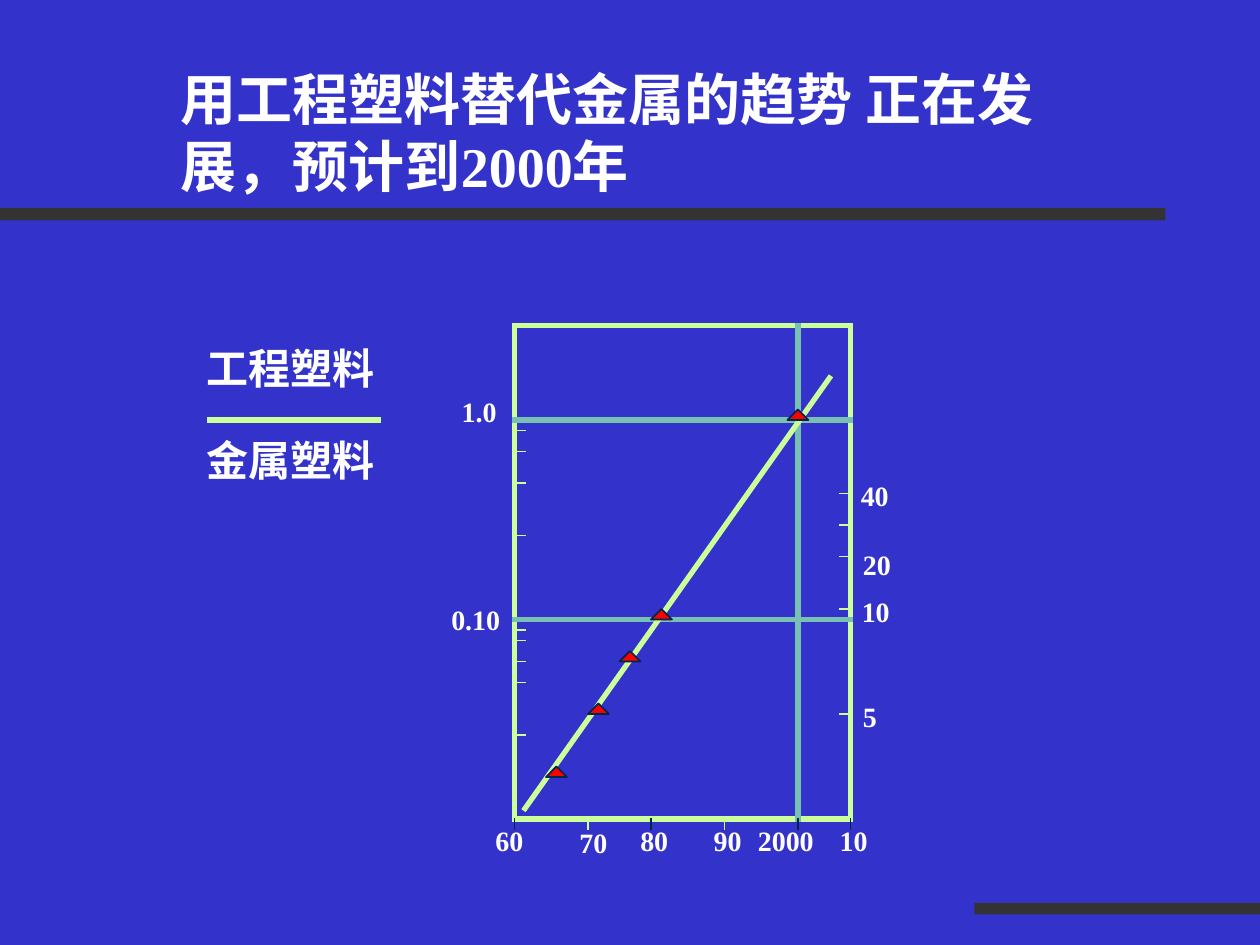
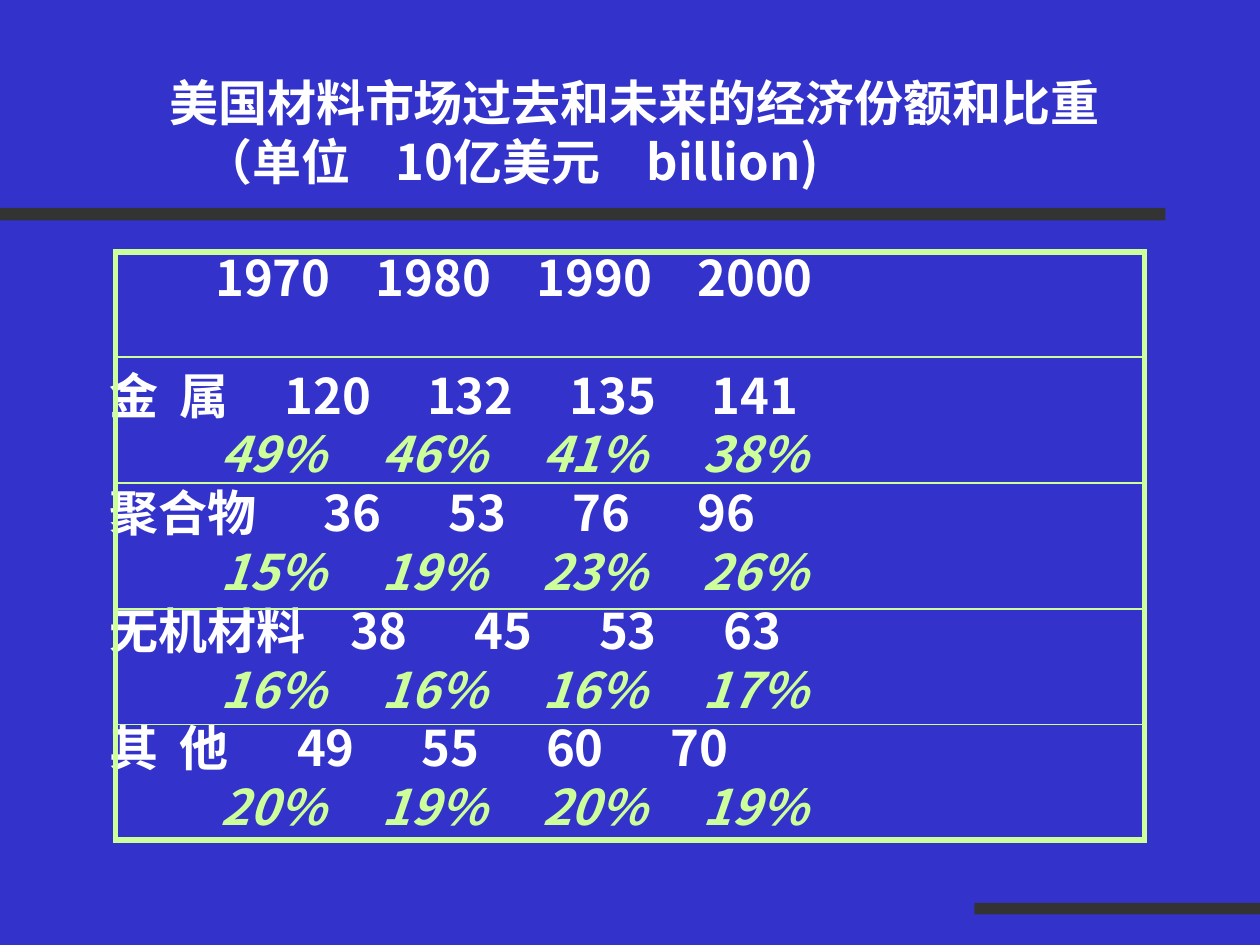
from dataclasses import dataclass

from lxml import etree
from pptx import Presentation
from pptx.dml.color import RGBColor
from pptx.enum import shapes, text
from pptx.oxml import ns
from pptx.util import Cm, Pt


@dataclass(frozen=True)
class Theme:
    blue: str = "3333CC"
    band: str = "333333"
    white: str = "FFFFFF"
    lime: str = "CCFF99"
    teal: str = "78C0B2"
    navy: str = "00264C"
    red: str = "FF0000"
    serif: str = "Times New Roman"
    sans: str = "Noto Sans CJK SC"
    title: int = 32
    body: int = 28
    legend: int = 24
    label: int = 16
    thick: float = 3
    thin: float = 1
    hair: float = 0.75
    leading: float = 1.2


THEME = Theme()

# Content: places are (left, top, width, height) in grid steps of 1/12 inch
BANDS = [(0, 19.8, 111, 1.2), (92.8, 86, 27.2, 1.1)]

TREND_TITLE = "用工程塑料替代金属的趋势 正在发展，预计到2000年"
RATIO = ["工程塑料", "金属塑料"]
FRAME = (49, 31, 81, 78)  # left, top, right, bottom
LEVELS = [40, 59]
YEAR_2000 = 76
TREND = (50, 77, 79, 36)
LEFT_TICKS = [41, 43, 46, 51, 60, 61, 63, 65, 70]
RIGHT_TICKS = [47, 50, 53, 58, 68]
BOTTOM_TICKS = {49: THEME.navy, 56: THEME.lime, 62: THEME.navy,
                69: THEME.lime, 76: THEME.navy, 81: THEME.navy}
DOTS = [(16, 47), (81, 54)]
MARKERS = [(75, 39), (62, 58), (59, 62), (56, 67), (52, 73)]
AXIS_LABELS = [
    ("1.0", 42.8, 37), ("0.10", 41.8, 56.8),
    ("40", 80.8, 45), ("20", 81, 51.6), ("10", 80.9, 56), ("5", 81, 66),
    ("60", 46, 77.8), ("70", 54, 78), ("80", 59.8, 77.8),
    ("90", 66.8, 77.8), ("2000", 71, 77.8), ("10", 78.8, 77.8),
]

MARKET_TITLE = "美国材料市场过去和未来的经济份额和比重\v\t（单位\t10亿美元\tbillion)"
MARKET_TITLE_STOPS = [0.69, 4.56, 9.62]
YEARS = ["1970", "1980", "1990", "2000"]
# label, amounts, shares, first amount stop and step in cm
MATERIALS = [
    ("金\t属", [120, 132, 135, 141], [49, 46, 41, 38], 3.53, 2.87),
    ("聚合物", [36, 53, 76, 96], [15, 19, 23, 26], 4.32, 2.51),
    ("无机材料", [38, 45, 53, 63], [16, 16, 16, 17], 4.85, 2.51),
    ("其\t他", [49, 55, 60, 70], [20, 19, 20, 19], 3.78, 2.51),
]
LABEL_STOP = 1.42
YEAR_STOP, SHARE_STOP, COLUMN_STEP = 2.13, 2.24, 3.24
TABLE = (11, 24, 109, 80)
ROW_RULES = [34, 46, 58, 69]


# Drawing helpers
def grid(steps):
    return Cm(steps * 2.54 / 12)


def rgb(value):
    return RGBColor.from_string(value)


def add_line(page, x1, y1, x2, y2, color=THEME.lime, width=THEME.thick):
    line = page.shapes.add_connector(
        shapes.MSO_CONNECTOR.STRAIGHT, *map(grid, (x1, y1, x2, y2)))
    line.line.color.rgb = rgb(color)
    line.line.width = Pt(width)
    line.get_or_add_ln().set("cap", "sq")
    etree.SubElement(line._element.spPr, ns.qn("a:effectLst"))


def add_frame(page, left, top, right, bottom):
    for y in (top, bottom):
        add_line(page, left, y, right, y)
    for x in (left, right):
        add_line(page, x, top, x, bottom)


def add_filled(page, kind, place, fill, outline=None):
    shape = page.shapes.add_shape(kind, *map(grid, place))
    shape.shadow.inherit = False
    shape.fill.solid()
    shape.fill.fore_color.rgb = rgb(fill)
    if outline:
        shape.line.color.rgb = rgb(outline)
        shape.line.width = Pt(THEME.thin)
    else:
        shape.line.fill.background()


def style(para, font, size, color=THEME.white, italic=False, stops=(), fixed=True):
    """Format one paragraph, with tab stops in cm."""
    para.alignment = text.PP_ALIGN.LEFT
    if fixed:
        para.line_spacing = Pt(size * THEME.leading)
    if stops:
        tabs = etree.SubElement(para._p.get_or_add_pPr(), ns.qn("a:tabLst"))
        for stop in stops:
            etree.SubElement(tabs, ns.qn("a:tab"), pos=str(Cm(stop)), algn="l")
    para.font.name = font
    para.font.size = Pt(size)
    para.font.bold = True
    para.font.italic = italic
    para.font.color.rgb = rgb(color)
    etree.SubElement(para.font._element, ns.qn("a:ea"), typeface=THEME.sans)


def add_box(page, place, inset=0.25):
    box = page.shapes.add_textbox(*map(grid, place))
    box.text_frame.word_wrap = True
    box.text_frame.margin_left = Cm(inset)
    return box.text_frame


def add_page(deck, title, place, font, size, insets=(0.25, 0.25), stops=()):
    """Add a page with its two bands and its title."""
    page = deck.slides.add_slide(deck.slide_layouts[5])
    for band in BANDS:
        add_filled(page, shapes.MSO_SHAPE.RECTANGLE, band, THEME.band)
    head = page.shapes.title
    head.left, head.top, head.width, head.height = map(grid, place)
    frame = head.text_frame
    frame.auto_size = text.MSO_AUTO_SIZE.NONE
    frame.vertical_anchor = text.MSO_ANCHOR.MIDDLE
    frame.margin_left, frame.margin_right = map(Cm, insets)
    frame.text = title
    style(frame.paragraphs[0], font, size, stops=stops)
    return page


# Slide 1: trend diagram
def build_trend(deck):
    page = add_page(deck, TREND_TITLE, (16, 6, 90, 13), THEME.serif, THEME.title,
                    insets=(0.25, 1))

    # Ratio of plastics to metals
    frame = add_box(page, (14, 32, 24, 31), inset=1.21)
    frame.text = "\n".join(RATIO)
    for para in frame.paragraphs:
        style(para, THEME.serif, THEME.legend)
    frame.paragraphs[1].space_before = Pt(24)
    add_line(page, 20, 40, 36, 40)

    # Plot area
    left, top, right, bottom = FRAME
    add_frame(page, *FRAME)
    for y in LEVELS:
        add_line(page, left, y, right, y, THEME.teal)
    add_line(page, YEAR_2000, top, YEAR_2000, bottom, THEME.teal)
    add_line(page, *TREND)

    # Ticks and dots
    for y in LEFT_TICKS:
        add_line(page, left, y, left + 1, y, width=THEME.thin)
    for y in RIGHT_TICKS:
        add_line(page, right, y, right - 1, y, width=THEME.thin)
    for x, color in BOTTOM_TICKS.items():
        add_line(page, x, bottom, x, bottom + 1, color, THEME.thin)
    for x, y in DOTS:
        add_line(page, x, y, x, y, THEME.navy, THEME.thin)

    # Axis labels and data markers
    for label, x, y in AXIS_LABELS:
        frame = add_box(page, (x, y, 3 + 1.4 * len(label), 4.4))
        frame.text = label
        style(frame.paragraphs[0], THEME.serif, THEME.label, fixed=False)
    for x, y in MARKERS:
        add_filled(page, shapes.MSO_SHAPE.ISOSCELES_TRIANGLE, (x, y, 2, 1),
                   THEME.red, THEME.navy)


# Slide 2: market figures
def column_stops(first, step=COLUMN_STEP):
    return [first + step * column for column in range(len(YEARS))]


def build_market(deck):
    page = add_page(deck, MARKET_TITLE, (14, 5, 96, 15), THEME.sans, THEME.body,
                    insets=(0.45, 0.25), stops=MARKET_TITLE_STOPS)

    # Each line: text, tab stops, is it a share
    lines = [("\t" + "\t".join(YEARS), column_stops(YEAR_STOP), False)]
    for label, amounts, percents, first, step in MATERIALS:
        stops = column_stops(first, step)
        if "\t" in label:
            stops = [LABEL_STOP] + stops
        lines.append(("\t".join([label, *map(str, amounts)]), stops, False))
        lines.append(("".join(f"\t{value}%" for value in percents),
                      column_stops(SHARE_STOP), True))

    frame = add_box(page, (5, 23, 110, 57), inset=1.15)
    frame.text = "\n".join(line[0] for line in lines)
    for para, (_, stops, share) in zip(frame.paragraphs, lines):
        style(para, THEME.sans, THEME.body, THEME.lime if share else THEME.white,
              italic=share, stops=stops)
    frame.paragraphs[1].space_before = Pt(THEME.body * THEME.leading)

    # Frame and row rules
    add_frame(page, *TABLE)
    for y in ROW_RULES:
        add_line(page, TABLE[0], y, TABLE[2], y, width=THEME.hair)


def main():
    deck = Presentation()
    deck.slide_width, deck.slide_height = Cm(25.4), Cm(19.05)
    fill = deck.slide_master.background.fill
    fill.solid()
    fill.fore_color.rgb = rgb(THEME.blue)
    build_trend(deck)
    build_market(deck)
    deck.save("out.pptx")


if __name__ == "__main__":
    main()
